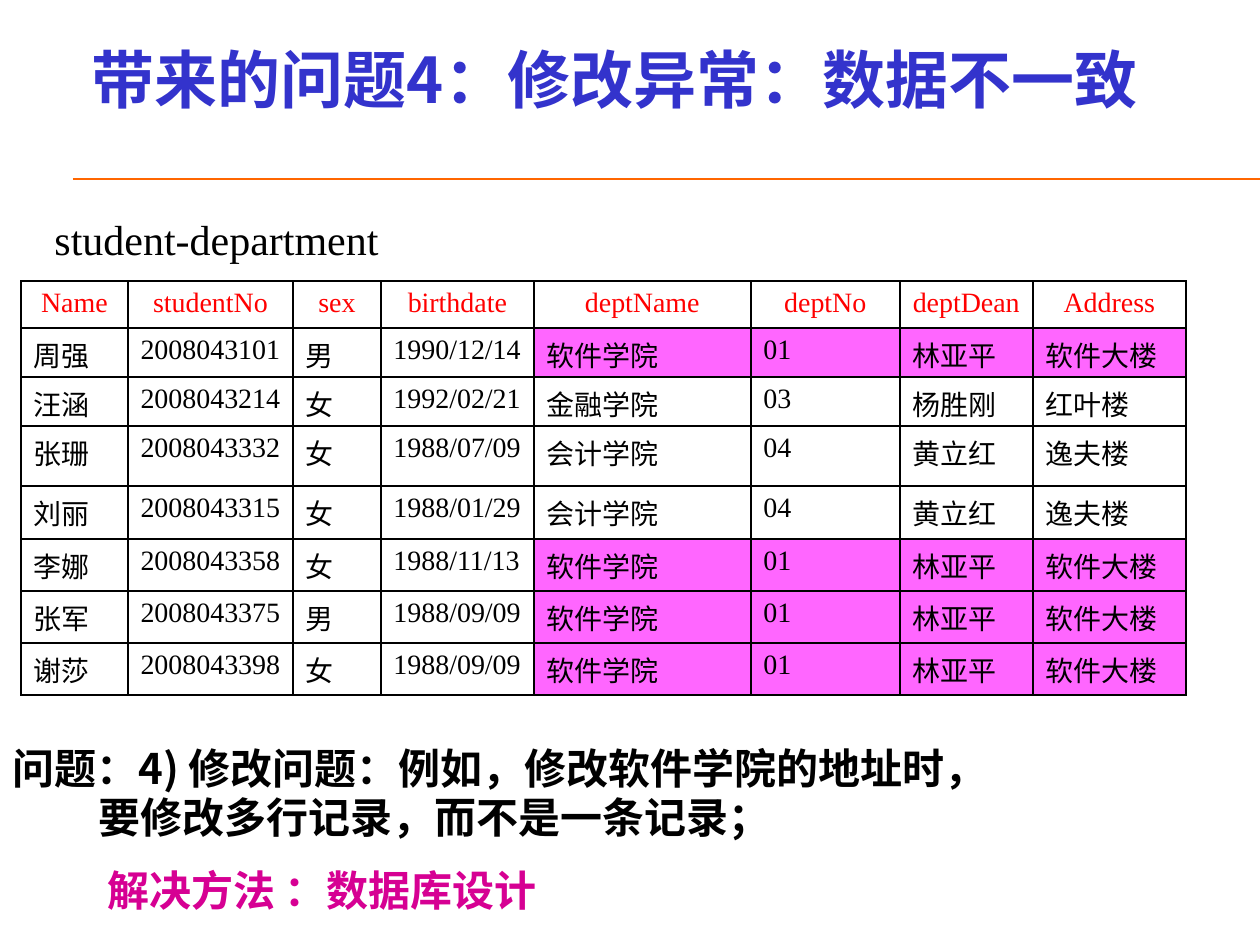
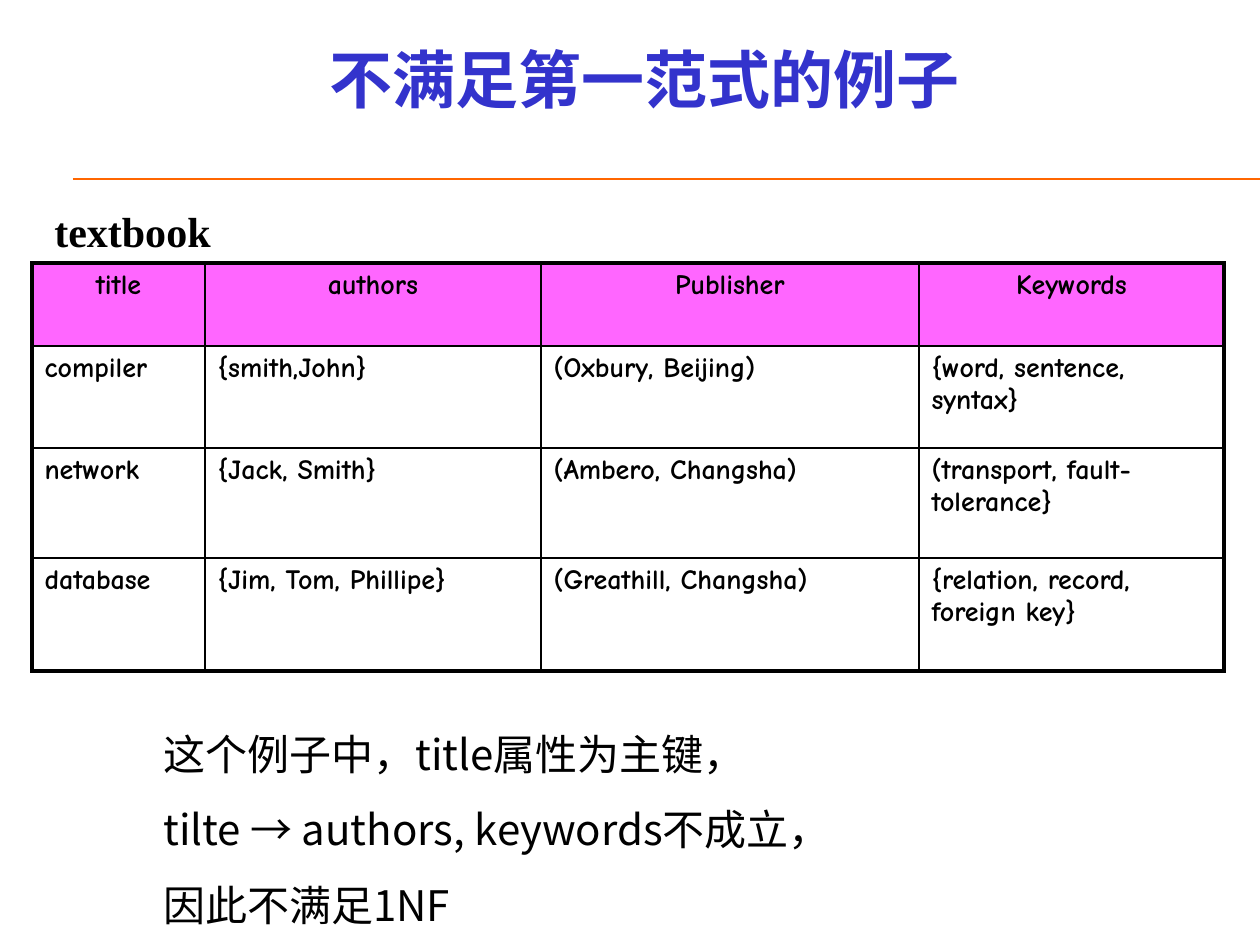
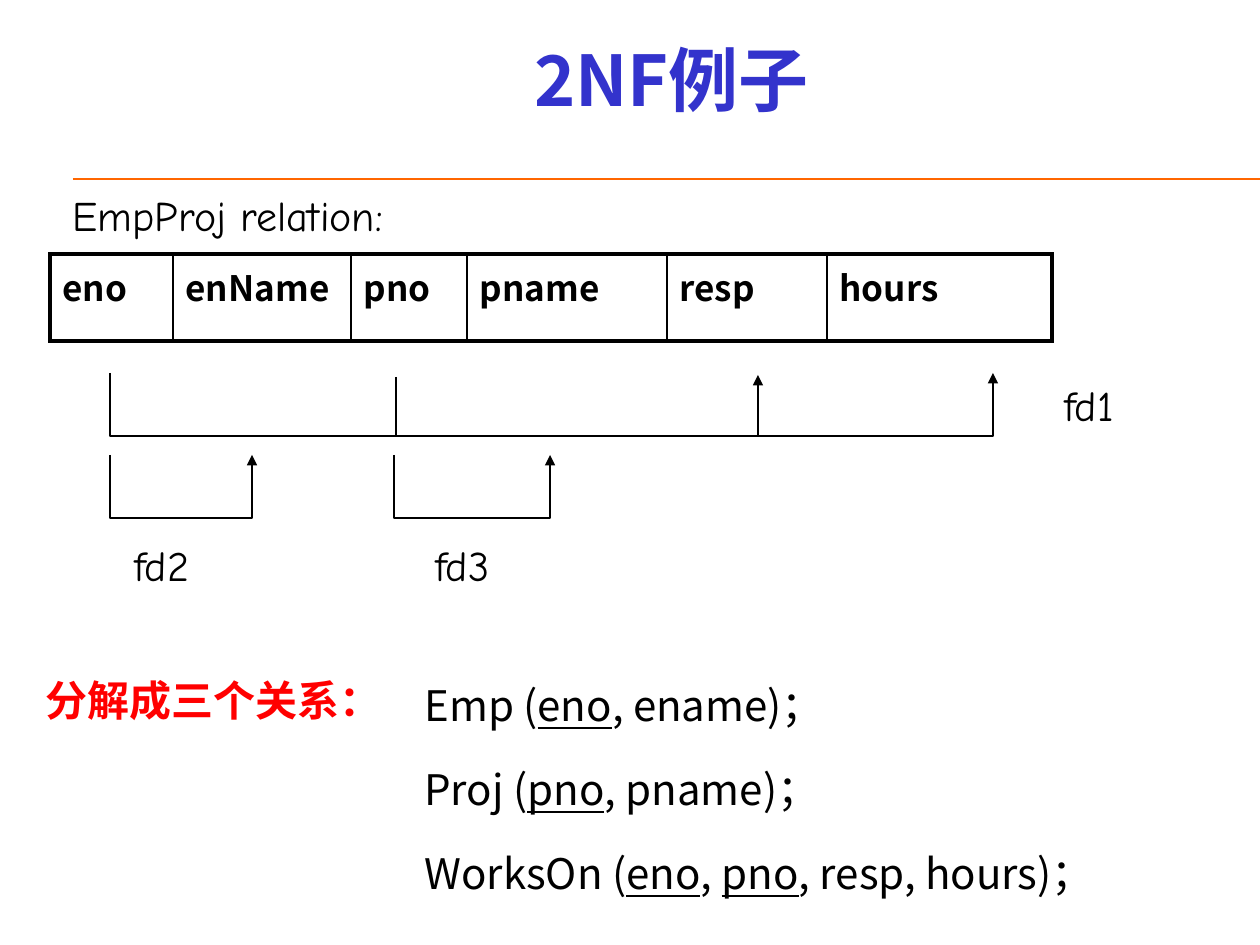
"""Build three slides on database anomalies and normal forms."""
from lxml import etree
from pptx import Presentation, util as u
from pptx.dml.color import RGBColor
from pptx.enum import shapes, text
from pptx.oxml.ns import qn

PX = 914400 / 126
COLORS = {"title": "3333CC", "rule": "FF6600", "ink": "000000", "red": "FF0000",
          "mark": "FF66FF", "answer": "D60093"}
SANS, SERIF, COMIC = "Noto Sans CJK SC", "Times New Roman", "Comic Neue"
CENTER = text.PP_ALIGN.CENTER
MIDDLE = text.MSO_ANCHOR.MIDDLE

SOFTWARE = ("软件学院", "01", "林亚平", "软件大楼")
FINANCE = ("金融学院", "03", "杨胜刚", "红叶楼")
ACCOUNTING = ("会计学院", "04", "黄立红", "逸夫楼")
STUDENTS = [
    ("Name", "studentNo", "sex", "birthdate", "deptName", "deptNo", "deptDean", "Address"),
    ("周强", "2008043101", "男", "1990/12/14", *SOFTWARE),
    ("汪涵", "2008043214", "女", "1992/02/21", *FINANCE),
    ("张珊", "2008043332", "女", "1988/07/09", *ACCOUNTING),
    ("刘丽", "2008043315", "女", "1988/01/29", *ACCOUNTING),
    ("李娜", "2008043358", "女", "1988/11/13", *SOFTWARE),
    ("张军", "2008043375", "男", "1988/09/09", *SOFTWARE),
    ("谢莎", "2008043398", "女", "1988/09/09", *SOFTWARE),
]
TEXTBOOKS = [
    ("title", "authors", "Publisher", "Keywords"),
    ("compiler", "{smith,John}", "(Oxbury, Beijing)", "{word, sentence, syntax}"),
    ("network", "{Jack, Smith}", "(Ambero, Changsha)", "(transport, fault-tolerance}"),
    ("database", "{Jim, Tom, Phillipe}", "(Greathill, Changsha)",
     "{relation, record, foreign key}"),
]
EMP_PROJ = [("eno", "enName", "pno", "pname", "resp", "hours")]
RELATIONS = ["Emp (_eno_, ename)；", "Proj (_pno_, pname)；",
             "WorksOn (_eno_, _pno_, resp, hours)；"]
DEPENDENCIES = [(110, 993, 373, 436), (110, 252, 455, 518), (394, 550, 455, 518)]
FD_LABELS = [("fd1", 1052, 373), ("fd2", 122, 533), ("fd3", 423, 533)]


def emu(px):
    return round(px * PX)


def rgb(name):
    return RGBColor.from_string(COLORS[name])


def apply(obj, values):
    for name, value in values.items():
        setattr(obj, name, value)


def write(p, content, size, font=SANS, color="ink", bold=False, indent=0, **para):
    """Fill a paragraph; parts between underscores are underlined."""
    apply(p, para)
    if indent:
        p._p.get_or_add_pPr().set("marL", str(emu(indent)))
    for i, part in enumerate(content.split("_")):
        r = p.add_run()
        r.text = part
        apply(r.font, {"size": u.Pt(size), "name": font, "bold": bold,
                       "underline": i % 2 == 1})
        r.font.color.rgb = rgb(color)
        etree.SubElement(r._r.get_or_add_rPr(), qn("a:ea")).set("typeface", SANS)


def add_text(s, box, lines, size, anchor=text.MSO_ANCHOR.TOP, **style):
    """Add a text box; a line is a string or a (string, own style) pair."""
    tf = s.shapes.add_textbox(*map(emu, box)).text_frame
    apply(tf, {"word_wrap": True, "vertical_anchor": anchor})
    for i, line in enumerate(lines):
        content, own = (line, {}) if isinstance(line, str) else line
        p = tf.add_paragraph() if i else tf.paragraphs[0]
        write(p, content, size, **{**style, **own})


def set_borders(cell, widths):
    tc_pr = cell._tc.get_or_add_tcPr()
    for i, (side, width) in enumerate(widths.items()):
        ln = etree.Element(qn("a:ln" + side), w=str(u.Pt(width)))
        fill = etree.SubElement(ln, qn("a:solidFill"))
        etree.SubElement(fill, qn("a:srgbClr"), val=COLORS["ink"])
        tc_pr.insert(i, ln)


def add_table(s, origin, cols, heights, data, style, marked, edge=2.25, head=None):
    size = (sum(cols), sum(heights))
    table = s.shapes.add_table(len(data), len(cols), *map(emu, origin + size)).table
    apply(table, {"first_row": False, "horz_banding": False})
    for col, width in zip(table.columns, cols):
        col.width = emu(width)
    for row, height in zip(table.rows, heights):
        row.height = emu(height)
    last_row, last_col = len(data) - 1, len(cols) - 1
    for y, values in enumerate(data):
        for x, value in enumerate(values):
            cell = table.cell(y, x)
            own = head if head and y == 0 else {}
            write(cell.text_frame.paragraphs[0], value, **{**style, **own})
            if marked(y, x):
                cell.fill.solid()
                cell.fill.fore_color.rgb = rgb("mark")
            else:
                cell.fill.background()
            outer = {"L": x == 0, "R": x == last_col, "T": y == 0, "B": y == last_row}
            set_borders(cell, {side: edge if out else 1 for side, out in outer.items()})


def finish_line(sp, color="ink", arrow=False):
    sp.line.color.rgb = rgb(color)
    sp.line.width = u.Pt(0.75)
    if arrow:
        etree.SubElement(sp.line._get_or_add_ln(), qn("a:tailEnd"), type="triangle")
    etree.SubElement(sp._element.spPr, qn("a:effectLst"))


def add_line(s, ends, **style):
    sp = s.shapes.add_connector(shapes.MSO_CONNECTOR.STRAIGHT, *map(emu, ends))
    finish_line(sp, **style)


def add_bracket(s, left, right, top, bottom):
    path_builder = s.shapes.build_freeform(left, top, scale=PX)
    path_builder.add_line_segments([(left, bottom), (right, bottom), (right, top)], close=False)
    sp = path_builder.convert_to_shape()
    sp.fill.background()
    finish_line(sp, arrow=True)


def add_slide(prs, title, left, width, size=36):
    s = prs.slides.add_slide(prs.slide_layouts[6])
    add_line(s, (73, 179, 1260, 179), color="rule")
    add_text(s, (left, 0, width, 157), [title], size, MIDDLE,
             color="title", bold=True, alignment=CENTER)
    return s


def anomaly_slide(prs):
    s = add_slide(prs, "带来的问题4：修改异常：数据不一致", 21, 1187)
    add_text(s, (42, 207, 410, 63), ["student-department"], 24, MIDDLE, font=SERIF)
    add_table(s, (21, 281), (107, 165, 88, 153, 217, 149, 133, 153),
              (47, 49, 49, 60, 53, 52, 52, 52), STUDENTS,
              {"size": 16, "font": SERIF, "space_before": u.Pt(1.6)},
              lambda y, x: x > 3 and STUDENTS[y][4:] == SOFTWARE, edge=1,
              head={"color": "red", "alignment": CENTER})
    add_text(s, (0, 746, 1226, 180), [
        "问题：4) 修改问题：例如，修改软件学院的地址时，",
        ("要修改多行记录，而不是一条记录；", {"indent": 86}),
        ("解决方法 ：数据库设计",
         {"indent": 95, "color": "answer", "space_before": u.Pt(19)}),
    ], 24, bold=True, line_spacing=0.8, space_before=u.Pt(4.8))


def first_form_slide(prs):
    s = add_slide(prs, "不满足第一范式的例子", 29, 1231)
    add_text(s, (42, 199, 200, 63), ["textbook"], 24, font=SERIF, bold=True)
    add_table(s, (32, 263), (173, 336, 378, 305), (83, 102, 110, 113), TEXTBOOKS,
              {"size": 16, "font": COMIC, "bold": True, "space_before": u.Pt(1.6)},
              lambda y, x: y == 0, head={"alignment": CENTER})
    add_text(s, (151, 697, 680, 242),
             ["这个例子中，title属性为主键，", "tilte → authors, keywords不成立，因此不满足1NF"],
             24, line_spacing=1.5)


def second_form_slide(prs):
    s = add_slide(prs, "2NF例子", 136, 1071, 40)
    add_text(s, (60, 189, 364, 58), ["EmpProj relation:"], 24, font=COMIC,
             line_spacing=0.9, space_before=u.Pt(4.8))
    add_table(s, (50, 254), (123, 178, 116, 200, 160, 225), (87,), EMP_PROJ,
              {"size": 20, "bold": True, "space_before": u.Pt(4)}, lambda y, x: False)
    for bracket in DEPENDENCIES:
        add_bracket(s, *bracket)
    add_line(s, (758, 435, 758, 375), arrow=True)
    add_line(s, (396, 377, 396, 436))
    for label, left, top in FD_LABELS:
        add_text(s, (left, top, 97, 63), [label], 24, font=COMIC)
    add_text(s, (33, 668, 380, 63), ["分解成三个关系："], 24, color="red", bold=True)
    add_text(s, (401, 648, 760, 286), RELATIONS, 24, indent=11,
             line_spacing=1.5, space_before=u.Pt(4.8))


def main():
    prs = Presentation()
    apply(prs, {"slide_width": emu(1260), "slide_height": emu(945)})
    for build in (anomaly_slide, first_form_slide, second_form_slide):
        build(prs)
    prs.save("out.pptx")


if __name__ == "__main__":
    main()
